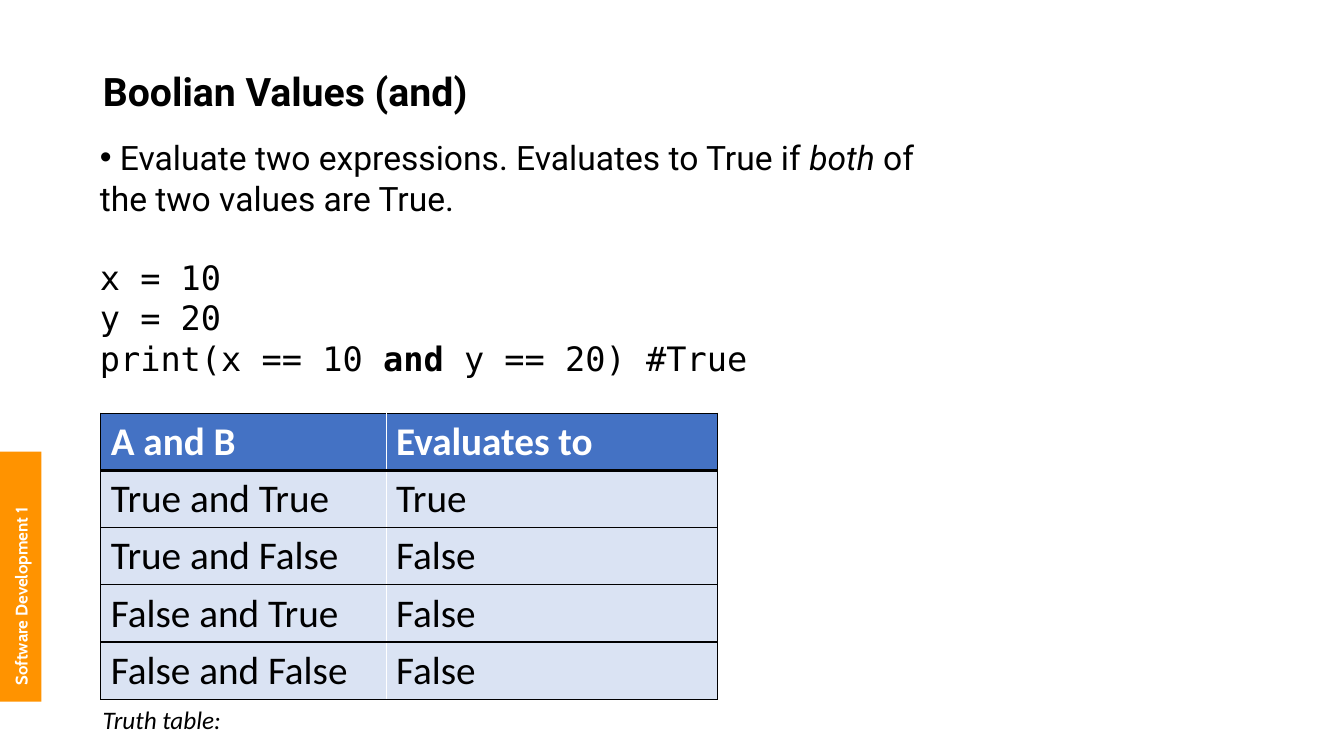
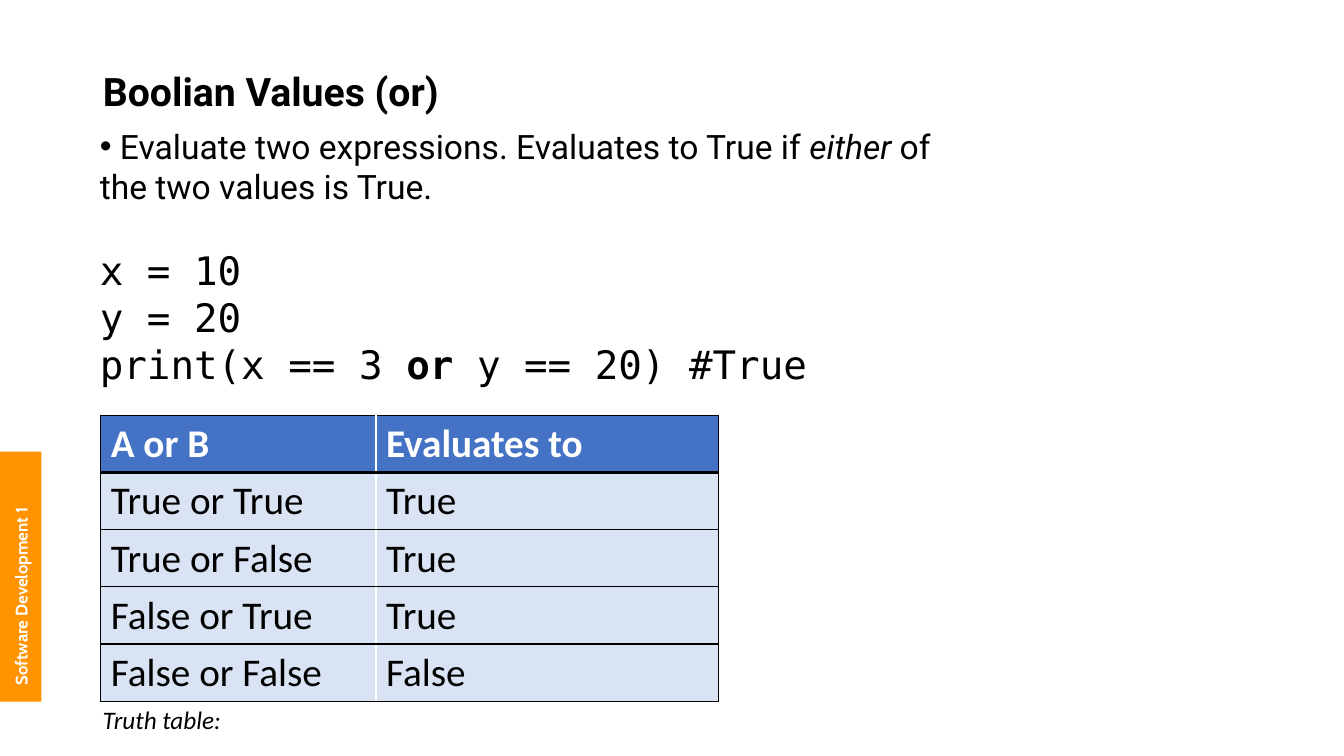
from dataclasses import dataclass
from itertools import product
from typing import Any, Callable, Iterable

from lxml import etree
from pptx import Presentation
from pptx.dml.color import RGBColor
from pptx.enum import shapes, text
from pptx.oxml import ns
from pptx.util import Inches, Pt

BLACK = RGBColor(0x00, 0x00, 0x00)
WHITE = RGBColor(0xFF, 0xFF, 0xFF)
ORANGE = RGBColor(0xFF, 0x93, 0x00)
HEADER_BLUE = RGBColor(0x44, 0x72, 0xC4)
ROW_BLUE = RGBColor(0xDA, 0xE3, 0xF3)

COURSE = "Software Development 1"
ROW_HEIGHT = 0.566
BULLET_INDENT = 0.2

TITLE = {"name": "Roboto", "size": Pt(28), "bold": True}
PROSE = {"name": "Roboto", "size": Pt(24)}
BAND = {"name": "Cabin", "size": Pt(12), "bold": True}
CELL = {"name": "Calibri", "size": Pt(28), "bold": False}
CAPTION = {"name": "Calibri", "size": Pt(18), "italic": True}


@dataclass(frozen=True)
class OperatorSlide:
    operator: str
    evaluate: Callable[[Iterable[bool]], bool]
    quantifier: str
    verb: str
    compared_x: int
    code_size: int
    body_box: tuple[float, float, float, float]
    table_top: float
    columns: tuple[float, float]


OPERATOR_SLIDES = (
    OperatorSlide("and", all, "both", "are", 10, 24,
                  (0.89, 1.31, 11.15, 2.78), 4.1, (2.83, 3.29)),
    OperatorSlide("or", any, "either", "is", 3, 28,
                  (0.89, 1.2, 12.4, 2.73), 4.12, (2.73, 3.4)),
)


def place(shape, box: tuple[float, float, float, float]) -> None:
    for side, length in zip(("left", "top", "width", "height"), box):
        setattr(shape, side, Inches(length))


def add_run(paragraph, words: str, style: dict[str, Any],
            color: RGBColor = BLACK) -> None:
    run = paragraph.add_run()
    run.text = words
    for attribute, value in style.items():
        setattr(run.font, attribute, value)
    run.font.color.rgb = color


def add_label(slide, box, words: str, style: dict[str, Any],
              color: RGBColor = BLACK, rotation: int = 0) -> None:
    label = slide.shapes.add_textbox(*map(Inches, box))
    label.rotation = rotation
    label.text_frame.word_wrap = True
    add_run(label.text_frame.paragraphs[0], words, style, color)


def add_course_band(slide) -> None:
    band = slide.shapes.add_shape(shapes.MSO_SHAPE.RECTANGLE,
                                  *map(Inches, (0, 4.48, 0.41, 2.48)))
    band.shadow.inherit = False
    band.fill.solid()
    band.fill.fore_color.rgb = ORANGE
    band.line.fill.background()
    add_label(slide, (-1.02, 5.52, 2.46, 0.3), COURSE, BAND, WHITE, 270)


def set_title(slide, words: str) -> None:
    title = slide.shapes.title
    place(title, (0.92, 0.64, 10.18, 0.58))
    frame = title.text_frame
    frame.auto_size = text.MSO_AUTO_SIZE.NONE
    frame.vertical_anchor = text.MSO_ANCHOR.MIDDLE
    paragraph = frame.paragraphs[0]
    paragraph.alignment = text.PP_ALIGN.LEFT
    paragraph.line_spacing = 0.9
    add_run(paragraph, words, TITLE)


def set_bullet(paragraph, bullet: str | None) -> None:
    properties = paragraph._p.get_or_add_pPr()
    indent = Inches(BULLET_INDENT) if bullet else 0
    properties.set("marL", str(indent))
    properties.set("indent", str(-indent))
    if bullet:
        etree.SubElement(properties, ns.qn("a:buChar")).set("char", bullet)
    else:
        etree.SubElement(properties, ns.qn("a:buNone"))


def fill_body(slide, content: OperatorSlide) -> None:
    body = slide.placeholders[1]
    place(body, content.body_box)
    frame = body.text_frame
    frame.auto_size = text.MSO_AUTO_SIZE.NONE
    code = {"name": "DejaVu Sans Mono", "size": Pt(content.code_size)}
    lines = (
        (("Evaluate two expressions. Evaluates to True if ", PROSE),
         (f"{content.quantifier} ", PROSE | {"italic": True}), ("of", PROSE)),
        ((f"the two values {content.verb} True.", PROSE),),
        (("x = 10", code),),
        (("y = 20", code),),
        ((f"print(x == {content.compared_x} ", code),
         (f"{content.operator} ", code | {"bold": True}),
         ("y == 20) #True", code)),
    )
    first_code_line = 2
    for number, runs in enumerate(lines):
        paragraph = frame.add_paragraph() if number else frame.paragraphs[0]
        set_bullet(paragraph, None if number else "•")
        paragraph.space_before = Pt(28 if number == first_code_line else 0)
        for words, style in runs:
            add_run(paragraph, words, style)


def set_borders(cell, borders: dict[str, tuple[RGBColor, int]]) -> None:
    """Draw borders, keyed L, R, T, B in that order; call before filling."""
    properties = cell._tc.get_or_add_tcPr()
    for side, (color, points) in borders.items():
        line = etree.SubElement(properties, ns.qn(f"a:ln{side}"))
        line.set("w", str(Pt(points)))
        solid = etree.SubElement(line, ns.qn("a:solidFill"))
        etree.SubElement(solid, ns.qn("a:srgbClr")).set("val", str(color))


def add_truth_table(slide, content: OperatorSlide) -> None:
    rows = [(f"A {content.operator} B", "Evaluates to")]
    rows += [(f"{a} {content.operator} {b}", str(content.evaluate((a, b))))
             for a, b in product((True, False), repeat=2)]
    table = slide.shapes.add_table(
        len(rows), len(content.columns), Inches(1), Inches(content.table_top),
        Inches(sum(content.columns)), Inches(ROW_HEIGHT * len(rows))).table
    table.horz_banding = False
    for column, width in zip(table.columns, content.columns):
        column.width = Inches(width)
    for r, row in enumerate(rows):
        table.rows[r].height = Inches(ROW_HEIGHT)
        is_header = r == 0
        for c, words in enumerate(row):
            cell = table.cell(r, c)
            set_borders(cell, {
                "L": (WHITE if c else BLACK, 1),
                "R": (BLACK if c else WHITE, 1),
                "T": (BLACK, 3 if r == 1 else 1),
                "B": (BLACK, 3 if is_header else 1),
            })
            cell.fill.solid()
            cell.fill.fore_color.rgb = HEADER_BLUE if is_header else ROW_BLUE
            cell.vertical_anchor = text.MSO_ANCHOR.MIDDLE
            add_run(cell.text_frame.paragraphs[0], words,
                    CELL | {"bold": is_header}, WHITE if is_header else BLACK)


def add_operator_slide(deck, content: OperatorSlide) -> None:
    slide = deck.slides.add_slide(deck.slide_layouts[1])
    add_course_band(slide)
    set_title(slide, f"Boolian Values ({content.operator})")
    fill_body(slide, content)
    add_truth_table(slide, content)
    add_label(slide, (0.92, 6.94, 1.89, 0.4), "Truth table:", CAPTION)


def main() -> None:
    deck = Presentation()
    deck.slide_width = Inches(13.33)
    deck.slide_height = Inches(7.5)
    for content in OPERATOR_SLIDES:
        add_operator_slide(deck, content)
    deck.save("out.pptx")


if __name__ == "__main__":
    main()
